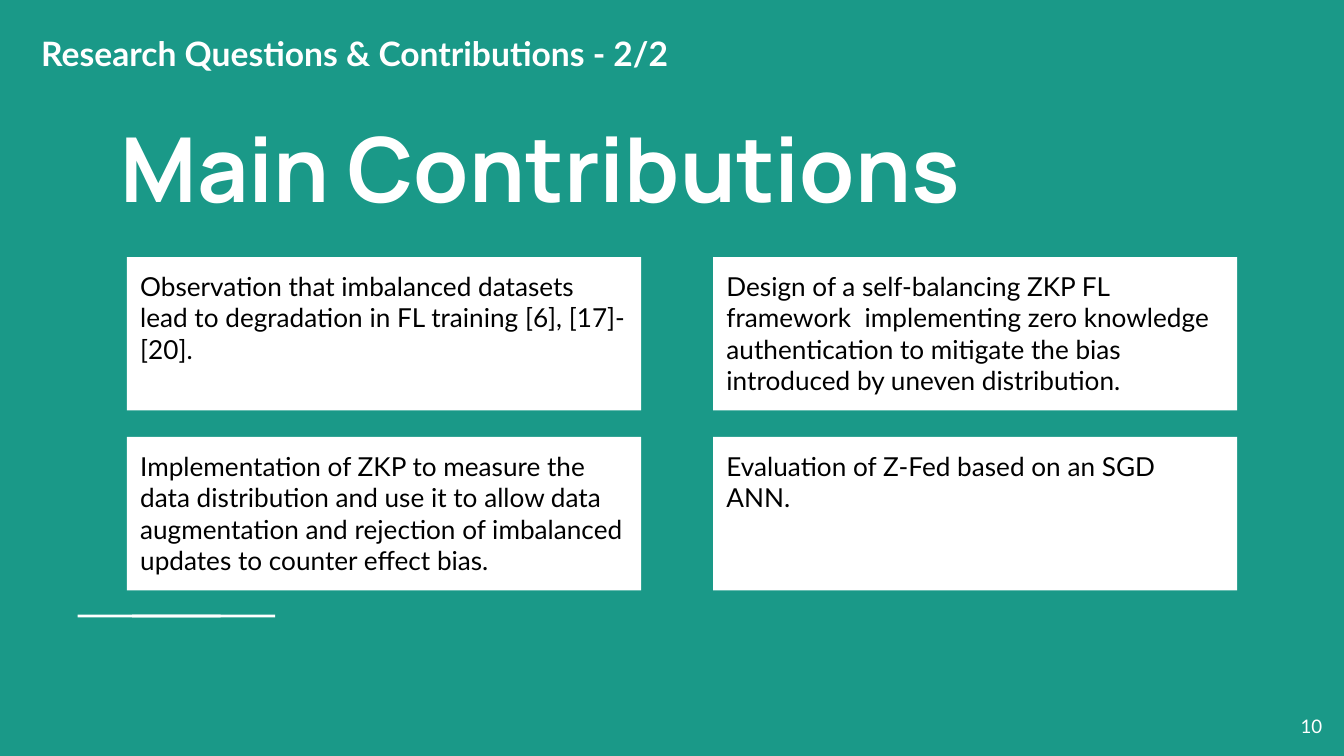
from dataclasses import dataclass

from pptx import Presentation
from pptx.dml.color import RGBColor
from pptx.enum.shapes import MSO_SHAPE
from pptx.enum.text import MSO_ANCHOR, PP_ALIGN
from pptx.shapes.autoshape import Shape
from pptx.slide import Slide
from pptx.util import Cm, Pt


@dataclass(frozen=True)
class Theme:
    background: RGBColor = RGBColor(0x1A, 0x99, 0x88)
    light: RGBColor = RGBColor(0xFF, 0xFF, 0xFF)
    dark: RGBColor = RGBColor(0x00, 0x00, 0x00)
    title_font: str = "Manrope"
    body_font: str = "Lato"
    title_size: int = 48
    section_size: int = 18
    body_size: int = 14
    number_size: int = 10
    inset: float = 0.25


@dataclass(frozen=True)
class Box:
    left: float
    top: float
    width: float
    height: float


@dataclass(frozen=True)
class Style:
    size: int
    color: RGBColor
    font: str
    bold: bool = False
    alignment: PP_ALIGN = PP_ALIGN.LEFT
    anchor: MSO_ANCHOR = MSO_ANCHOR.TOP
    line_spacing: float = 1.0


@dataclass(frozen=True)
class Label:
    text: str
    box: Box
    style: Style


@dataclass(frozen=True)
class Column:
    left: float
    width: float


THEME = Theme()
CARD_STYLE = Style(THEME.body_size, THEME.dark, THEME.body_font)
LABELS = [
    Label("Main Contributions", Box(2.03, 2.03, 21.36, 3.45),
          Style(THEME.title_size, THEME.light, THEME.title_font, bold=True, line_spacing=0.95)),
    Label("10", Box(23.72, 13.18, 1.52, 1.09),
          Style(THEME.number_size, THEME.light, THEME.body_font,
                alignment=PP_ALIGN.RIGHT, anchor=MSO_ANCHOR.MIDDLE)),
    Label("Research Questions & Contributions - 2/2", Box(0.53, 0.38, 14.86, 1.27),
          Style(THEME.section_size, THEME.light, THEME.body_font, bold=True)),
]
COLUMNS = [Column(2.4, 9.72), Column(13.48, 9.9)]
FIRST_ROW_TOP, ROW_STEP, CARD_HEIGHT = 4.86, 3.4, 2.9
CONTRIBUTIONS = [
    "Observation that imbalanced datasets lead to degradation in FL training [6], [17]-[20].",
    "Design of a self-balancing ZKP FL framework  implementing zero knowledge "
    "authentication to mitigate the bias introduced by uneven distribution.",
    "Implementation of ZKP to measure the data distribution and use it to allow data "
    "augmentation and rejection of imbalanced updates to counter effect bias.",
    "Evaluation of Z-Fed based on an SGD ANN.",
]
ACCENT_BARS = [Box(left, 11.62, 2.7, 0.05) for left in (1.47, 2.5)]


def write_text(shape: Shape, text: str, style: Style) -> None:
    """Write one styled run into a shape."""
    frame = shape.text_frame
    frame.word_wrap = True
    frame.vertical_anchor = style.anchor
    frame.margin_left = frame.margin_right = Cm(THEME.inset)
    frame.margin_top = frame.margin_bottom = Cm(THEME.inset)
    paragraph = frame.paragraphs[0]
    paragraph.alignment = style.alignment
    paragraph.line_spacing = style.line_spacing
    run = paragraph.add_run()
    run.text = text
    run.font.name = style.font
    run.font.size = Pt(style.size)
    run.font.bold = style.bold
    run.font.color.rgb = style.color


def add_panel(slide: Slide, box: Box) -> Shape:
    """Add a plain light rectangle."""
    shape = slide.shapes.add_shape(
        MSO_SHAPE.RECTANGLE, Cm(box.left), Cm(box.top), Cm(box.width), Cm(box.height))
    shape.shadow.inherit = False
    shape.fill.solid()
    shape.fill.fore_color.rgb = THEME.light
    shape.line.fill.background()
    return shape


def add_label(slide: Slide, label: Label) -> None:
    """Add a text box holding a label."""
    box = label.box
    shape = slide.shapes.add_textbox(
        Cm(box.left), Cm(box.top), Cm(box.width), Cm(box.height))
    write_text(shape, label.text, label.style)


def build() -> None:
    """Build and save the contributions slide."""
    presentation = Presentation()
    presentation.slide_width, presentation.slide_height = Cm(25.4), Cm(14.29)
    slide = presentation.slides.add_slide(presentation.slide_layouts[6])
    slide.background.fill.solid()
    slide.background.fill.fore_color.rgb = THEME.background
    for bar in ACCENT_BARS:
        add_panel(slide, bar)
    for label in LABELS:
        add_label(slide, label)
    for index, text in enumerate(CONTRIBUTIONS):
        row, position = divmod(index, len(COLUMNS))
        column = COLUMNS[position]
        top = FIRST_ROW_TOP + row * ROW_STEP
        card = add_panel(slide, Box(column.left, top, column.width, CARD_HEIGHT))
        write_text(card, text, CARD_STYLE)
    presentation.save("out.pptx")


build()
